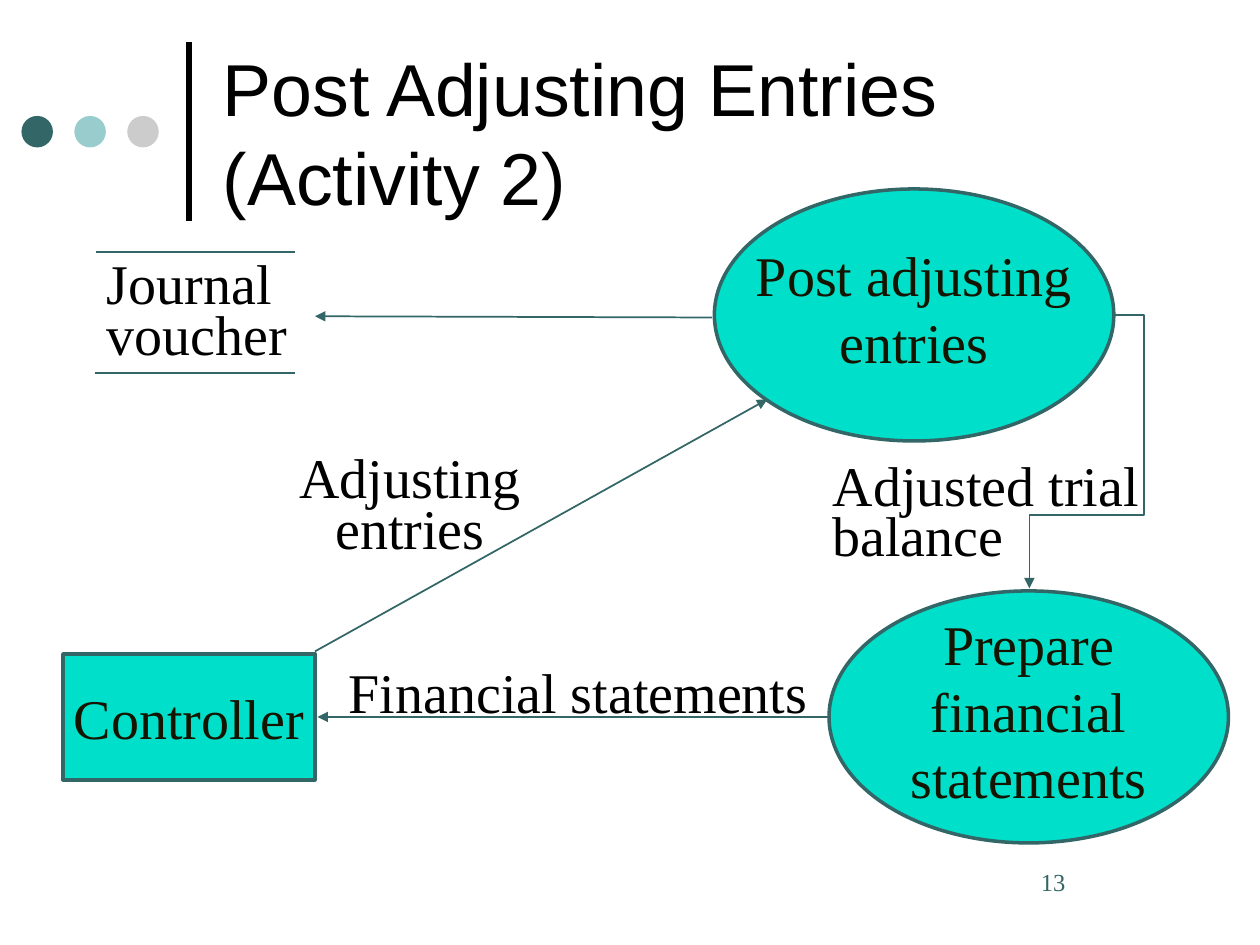
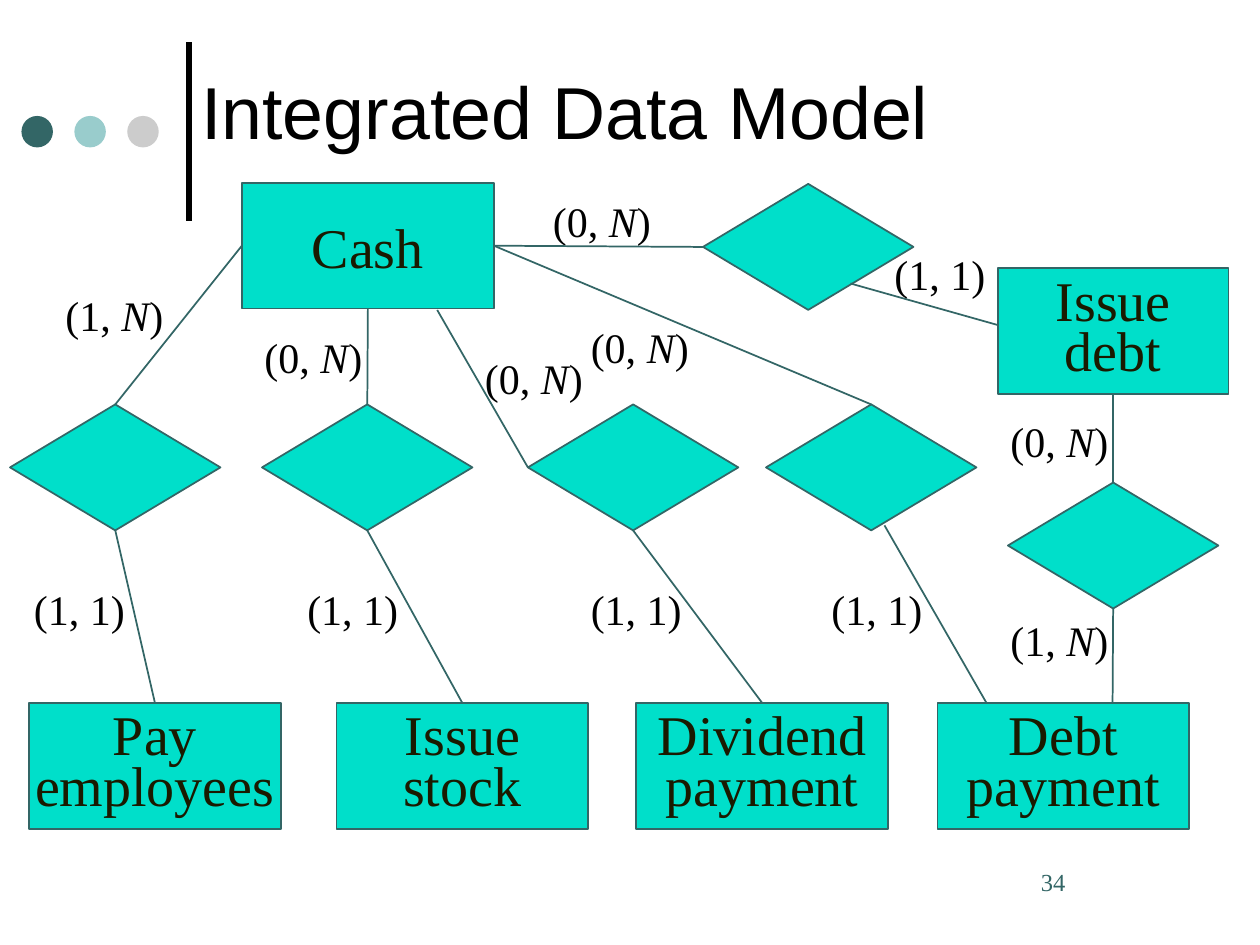
from pptx import Presentation
from pptx.dml.color import RGBColor
from pptx.enum.shapes import MSO_CONNECTOR, MSO_SHAPE
from pptx.enum.text import MSO_ANCHOR, PP_ALIGN
from pptx.oxml.ns import qn
from pptx.util import Inches, Pt
from lxml import etree

COLORS = {"ink": "000000", "teal": "336666", "aqua": "99CCCC", "grey": "CCCCCC",
          "fill": "00DFCA", "process_text": "141400", "entity_text": "1A1A00"}
SERIF, SANS = "Times New Roman", "Arial"
TIGHT = 0.75
TOP, LEFT, BOTTOM, RIGHT = range(4)  # connection sites of rectangles and diamonds

# Slide 1: boxes are left, top, width, height
PROCESS_SIZE = (3.17, 2)
PROCESSES = [
    (["Post adjusting", "entries"], 5.67, 1.5),
    (["Prepare", "financial", "statements"], 6.58, 4.69),
]
CONTROLLER = (0.5, 5.19, 2, 1)
FLOW_LABELS = [
    ("Journal voucher", (0.75, 2.05, 1.75, 0.9), PP_ALIGN.LEFT, TIGHT),
    ("Adjusting\nentries", (1.59, 3.59, 3.33, 0.9), PP_ALIGN.CENTER, TIGHT),
    ("Financial statements", (2.59, 5.17, 4, 0.63), PP_ALIGN.CENTER, None),
    ("Adjusted trial balance", (6.51, 3.65, 2.75, 0.9), PP_ALIGN.LEFT, TIGHT),
]
FLOWS = [
    ((6.57, 5.69), (2.52, 5.69)),
    ((2.5, 5.17), (6.09, 3.17)),
    ((5.65, 2.52), (2.5, 2.51)),
]
VOUCHER_RULES = [((0.76, 2), (2.34, 2)), ((0.75, 2.96), (2.34, 2.96))]
TRIAL_BALANCE_ROUTE = [(8.85, 2.5), (9.08, 2.5), (9.08, 4.09), (8.17, 4.09), (8.17, 4.67)]

# Slide 2
ENTITIES = {
    "cash": (["Cash"], (1.92, 1.45, 2, 1)),
    "employees": (["Pay", "employees"], (0.23, 5.58, 2, 1)),
    "stock": (["Issue", "stock"], (2.67, 5.58, 2, 1)),
    "dividend": (["Dividend", "payment"], (5.05, 5.58, 2, 1)),
    "debt payment": (["Debt", "payment"], (7.44, 5.58, 2, 1)),
    "debt": (["Issue", "debt"], (7.92, 2.13, 1.83, 1)),
}
RELATION_SIZE = (1.67, 1)
RELATIONS = {
    "cash-employees": (0.08, 3.21),
    "cash-stock": (2.08, 3.21),
    "cash-dividend": (4.19, 3.21),
    "cash-debt payment": (6.08, 3.21),
    "cash-debt": (5.58, 1.46),
    "debt-debt payment": (8, 3.83),
}
# An end is (part, site), or a plain point where the line meets no site
LINKS = [
    (("cash", LEFT), ("cash-employees", TOP)),
    (("cash", BOTTOM), ("cash-stock", TOP)),
    ((3.47, 2.46), ("cash-dividend", LEFT)),
    (("cash", RIGHT), ("cash-debt payment", TOP)),
    (("cash", RIGHT), ("cash-debt", LEFT)),
    (("cash-employees", BOTTOM), ("employees", TOP)),
    (("cash-stock", BOTTOM), ("stock", TOP)),
    (("cash-dividend", BOTTOM), ("dividend", TOP)),
    ((7.02, 4.17), (7.83, 5.58)),
    ((6.75, 2.25), (7.92, 2.58)),
    (("debt", BOTTOM), ("debt-debt payment", TOP)),
    (("debt-debt payment", BOTTOM), (8.83, 5.58)),
]
CARDINALITIES = {
    "(1, N)": [(0.42, 2.25), (7.92, 4.83)],
    "(0, N)": [(2, 2.58), (3.75, 2.75), (4.59, 2.5), (4.29, 1.5), (7.92, 3.25)],
    "(1, 1)": [(0.17, 4.58), (2.34, 4.58), (4.59, 4.58), (6.5, 4.58), (7, 1.92)],
}


def rgb(name):
    return RGBColor.from_string(COLORS[name])


def inches(values):
    return [Inches(value) for value in values]


def write(shape, paragraphs, size=32, font=SERIF, color="ink", align=PP_ALIGN.LEFT,
          anchor=MSO_ANCHOR.TOP, spacing=None, gap=0, wrap=True, italic=None):
    """Fill a shape with paragraphs; a newline breaks a line, `italic` names a slanted word."""
    frame = shape.text_frame
    frame.word_wrap, frame.vertical_anchor = wrap, anchor
    for i, text in enumerate(paragraphs):
        paragraph = frame.add_paragraph() if i else frame.paragraphs[0]
        paragraph.alignment = align
        if spacing:
            paragraph.line_spacing = spacing
        if i and gap:
            paragraph.space_before = Pt(gap)
        for j, line in enumerate(text.split("\n")):
            if j:
                paragraph.add_line_break()
            for part in line.partition(italic) if italic else [line]:
                if not part:
                    continue
                run = paragraph.add_run()
                run.text = part
                run.font.size, run.font.name = Pt(size), font
                run.font.color.rgb = rgb(color)
                if part == italic:
                    run.font.italic = True


def add_text(slide, text, box, **style):
    label = slide.shapes.add_textbox(*inches(box))
    write(label, [text], **style)
    return label


def add_filled(slide, kind, box, fill="fill", line_width=None):
    shape = slide.shapes.add_shape(kind, *inches(box))
    shape.shadow.inherit = False
    shape.fill.solid()
    shape.fill.fore_color.rgb = rgb(fill)
    if line_width:
        shape.line.color.rgb = rgb("teal")
        shape.line.width = Pt(line_width)
    else:
        shape.line.fill.background()
    return shape


def add_arrowhead(shape):
    etree.SubElement(shape.line._get_or_add_ln(), qn("a:tailEnd"), type="triangle")


def add_line(slide, start, end, color="teal", width=1, arrow=False):
    line = slide.shapes.add_connector(MSO_CONNECTOR.STRAIGHT, *inches(start + end))
    line.line.color.rgb = rgb(color)
    line.line.width = Pt(width)
    if arrow:
        add_arrowhead(line)
    etree.SubElement(line._element.spPr, qn("a:effectLst"))
    return line


def add_route(slide, points):
    """Draw an angled arrow through the points."""
    first, *rest = [inches(point) for point in points]
    builder = slide.shapes.build_freeform(*first)
    builder.add_line_segments(rest, close=False)
    route = builder.convert_to_shape()
    route.shadow.inherit = False
    route.fill.background()
    route.line.color.rgb = rgb("teal")
    route.line.width = Pt(1)
    add_arrowhead(route)


def add_base(deck, title, title_box, number):
    slide = deck.slides.add_slide(deck.slide_layouts[6])
    add_line(slide, (1.5, 1.75), (1.5, 0.33), color="ink", width=3)
    for i, color in enumerate(["teal", "aqua", "grey"]):
        add_filled(slide, MSO_SHAPE.OVAL, (0.17 + 0.42 * i, 0.92, 0.25, 0.25), color)
    add_text(slide, title, title_box, size=42, font=SANS, anchor=MSO_ANCHOR.MIDDLE)
    page = add_text(slide, str(number), (7.92, 6.83, 1.42, 0.5), size=14, color="teal")
    page.text_frame.margin_left = Inches(0.34)
    return slide


def add_activity_slide(deck):
    slide = add_base(deck, "Post Adjusting Entries\n(Activity 2)", (1.67, 0.21, 7.67, 1.67), 13)
    centred = dict(color="process_text", align=PP_ALIGN.CENTER,
                   anchor=MSO_ANCHOR.MIDDLE, wrap=False)
    controller = add_filled(slide, MSO_SHAPE.RECTANGLE, CONTROLLER, line_width=2)
    write(controller, ["Controller"], **centred)
    for lines, left, top in PROCESSES:
        process = add_filled(slide, MSO_SHAPE.OVAL, (left, top, *PROCESS_SIZE), line_width=2)
        write(process, lines, spacing=TIGHT, gap=9.2, **centred)
    for text, box, align, spacing in FLOW_LABELS:
        add_text(slide, text, box, align=align, spacing=spacing)
    for start, end in VOUCHER_RULES:
        add_line(slide, start, end)
    for start, end in FLOWS:
        add_line(slide, start, end, arrow=True)
    add_route(slide, TRIAL_BALANCE_ROUTE)


def add_data_model_slide(deck):
    slide = add_base(deck, "Integrated Data Model", (1.5, 0.25, 7.67, 1.25), 34)
    parts = {}
    for name, (lines, box) in ENTITIES.items():
        parts[name] = add_filled(slide, MSO_SHAPE.RECTANGLE, box, line_width=1)
        write(parts[name], lines, color="entity_text", align=PP_ALIGN.CENTER,
              anchor=MSO_ANCHOR.MIDDLE, wrap=False,
              spacing=TIGHT if len(lines) > 1 else None)
    for name, corner in RELATIONS.items():
        parts[name] = add_filled(slide, MSO_SHAPE.DIAMOND, (*corner, *RELATION_SIZE), line_width=1)
    for text, corners in CARDINALITIES.items():
        for corner in corners:
            add_text(slide, text, (*corner, 1.08, 0.5), size=24, italic="N")
    for start, end in LINKS:
        points = [(0, 0) if place[0] in parts else place for place in (start, end)]
        link = add_line(slide, *points)
        for (name, site), attach in zip((start, end), (link.begin_connect, link.end_connect)):
            if name in parts:
                attach(parts[name], site)


def main():
    deck = Presentation()
    deck.slide_width, deck.slide_height = Inches(10), Inches(7.5)
    add_activity_slide(deck)
    add_data_model_slide(deck)
    deck.save("out.pptx")


if __name__ == "__main__":
    main()
